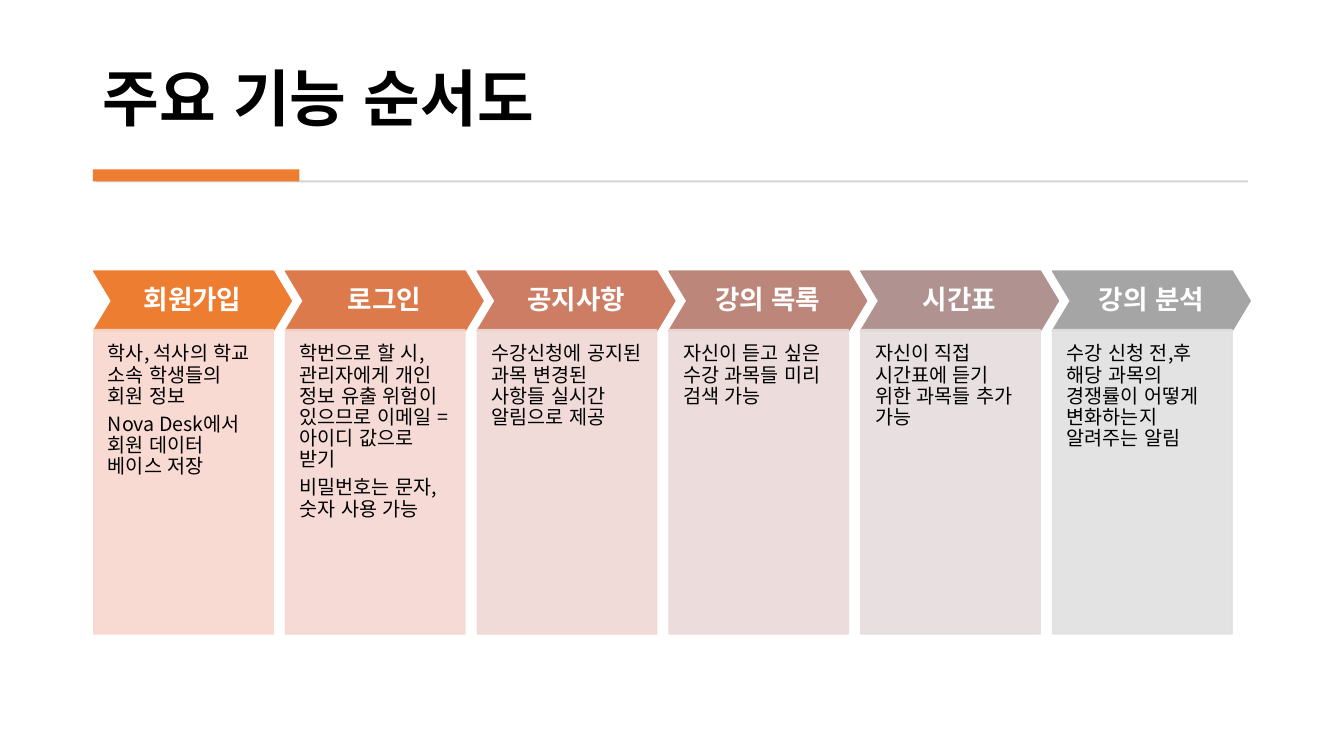
from lxml import etree
from pptx import Presentation
from pptx.dml.color import RGBColor
from pptx.enum.lang import MSO_LANGUAGE_ID
from pptx.enum.shapes import MSO_SHAPE
from pptx.enum.text import MSO_ANCHOR, PP_ALIGN
from pptx.oxml.ns import qn
from pptx.util import Inches, Pt

FONT = "Noto Sans CJK KR"
ORANGE = "ED7D31"

# Flow columns
FIRST_LEFT = 0.93
COLUMN_PITCH = 1.902
COLUMN_WIDTH = 1.78
CHEVRON_WIDTH = 1.96
CHEVRON_TOP, CHEVRON_HEIGHT = 2.69, 0.59
PANEL_TOP, PANEL_HEIGHT = 3.27, 3.02

# Heading, chevron colour, panel colour, descriptions
STEPS = [
    ("회원가입", ORANGE, "F8D7CE",
     ["학사, 석사의 학교 소속 학생들의 회원 정보",
      "Nova Desk에서 회원 데이터 베이스 저장"]),
    ("로그인", "DC7A4B", "F4D7D1",
     ["학번으로 할 시, 관리자에게 개인 정보 유출 위험이 있으므로 이메일 = 아이디 값으로 받기",
      "비밀번호는 문자, 숫자 사용 가능"]),
    ("공지사항", "CC7D64", "EFD8D5",
     ["수강신청에 공지된 과목 변경된 사항들 실시간 알림으로 제공"]),
    ("강의 목록", "BD867B", "EADAD9",
     ["자신이 듣고 싶은 수강 과목들 미리 검색 가능"]),
    ("시간표", "B09391", "E6DDDD",
     ["자신이 직접 시간표에 듣기 위한 과목들 추가 가능"]),
    ("강의 분석", "A5A5A5", "E1E1E1",
     ["수강 신청 전,후 해당 과목의 경쟁률이 어떻게 변화하는지 알려주는 알림"]),
]


def color(value):
    return RGBColor.from_string(value)


def set_opacity(shape, percent):
    """Apply one opacity to the fill and the outline."""
    for element in shape._element.spPr.iter(qn("a:srgbClr")):
        alpha = etree.SubElement(element, qn("a:alpha"))
        alpha.set("val", str(percent * 1000))


def add_block(slide, kind, left, top, width, height, fill, outlined=False):
    shape = slide.shapes.add_shape(
        kind, Inches(left), Inches(top), Inches(width), Inches(height))
    shape.shadow.inherit = False
    shape.fill.solid()
    shape.fill.fore_color.rgb = color(fill)
    if outlined:
        shape.line.color.rgb = color(fill)
        shape.line.width = Pt(1)
    else:
        shape.line.fill.background()
    return shape


def set_frame(shape, anchor, left, top, right, bottom):
    frame = shape.text_frame
    frame.word_wrap = True
    frame.vertical_anchor = anchor
    frame.margin_left, frame.margin_top = Inches(left), Inches(top)
    frame.margin_right, frame.margin_bottom = Inches(right), Inches(bottom)
    return frame


def write(frame, texts, size, text_color, bold=False, align=PP_ALIGN.LEFT,
          spacing=0.9, space_after=5):
    for index, text in enumerate(texts):
        paragraph = frame.add_paragraph() if index else frame.paragraphs[0]
        paragraph.alignment = align
        paragraph.line_spacing = spacing
        paragraph.space_after = Pt(space_after)
        run = paragraph.add_run()
        run.text = text
        font = run.font
        font.size, font.bold, font.name = Pt(size), bold, FONT
        font.color.rgb = color(text_color)
        font.language_id = MSO_LANGUAGE_ID.KOREAN
        east_asian = etree.SubElement(run._r.get_or_add_rPr(), qn("a:ea"))
        east_asian.set("typeface", FONT)


def add_title(slide, text):
    box = slide.shapes.add_textbox(
        Inches(0.92), Inches(0.28), Inches(11.49), Inches(1.11))
    frame = set_frame(box, MSO_ANCHOR.BOTTOM, 0.1, 0.05, 0.1, 0.05)
    write(frame, [text], 44, "000000", bold=True, space_after=6)


def add_step(slide, left, heading, chevron_color, panel_color, descriptions):
    chevron = add_block(slide, MSO_SHAPE.CHEVRON, left, CHEVRON_TOP,
                        CHEVRON_WIDTH, CHEVRON_HEIGHT, chevron_color, True)
    chevron.adjustments[0] = 0.3
    frame = set_frame(chevron, MSO_ANCHOR.MIDDLE, 0.07, 0.07, 0.07, 0.07)
    write(frame, [heading], 19, "FFFFFF", bold=True, align=PP_ALIGN.CENTER)

    panel = add_block(slide, MSO_SHAPE.RECTANGLE, left, PANEL_TOP,
                      COLUMN_WIDTH, PANEL_HEIGHT, panel_color, True)
    set_opacity(panel, 90)
    frame = set_frame(panel, MSO_ANCHOR.TOP, 0.14, 0.14, 0.13, 0.28)
    write(frame, descriptions, 14, "000000", spacing=Pt(15.1))


def main():
    presentation = Presentation()
    presentation.slide_width = Inches(13.33)
    presentation.slide_height = Inches(7.5)
    slide = presentation.slides.add_slide(presentation.slide_layouts[6])

    # Title and rule
    add_title(slide, "주요 기능 순서도")
    add_block(slide, MSO_SHAPE.RECTANGLE, 0.95, 1.79, 11.43, 0.02, "D5D5D5")
    add_block(slide, MSO_SHAPE.RECTANGLE, 0.92, 1.68, 2.05, 0.12, ORANGE)

    # Process steps
    for index, step in enumerate(STEPS):
        add_step(slide, FIRST_LEFT + index * COLUMN_PITCH, *step)

    presentation.save("out.pptx")


if __name__ == "__main__":
    main()
